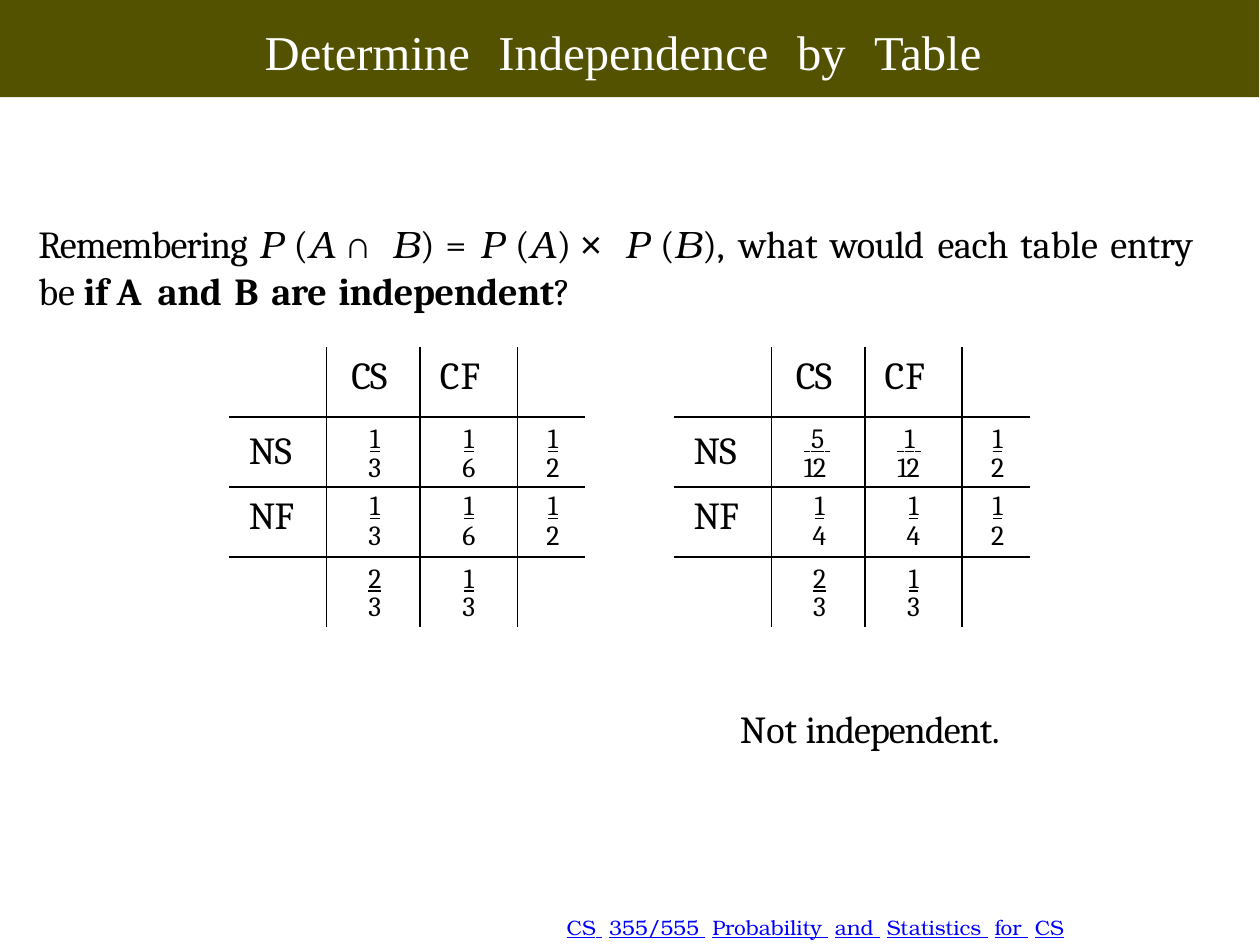
import pptx
import pptx.dml.color
import pptx.enum.shapes
import pptx.enum.text
import pptx.oxml
import pptx.oxml.ns
import pptx.util
from pptx.util import Cm, Pt

BODY, MATH, SYMBOL, TITLE = "Cambria", "TeX Gyre Bonum", "Courier New", "Times New Roman"
LEFT, CENTER = pptx.enum.text.PP_ALIGN.LEFT, pptx.enum.text.PP_ALIGN.CENTER


def add_run(paragraph, text, size, font=BODY, spacing=0, style="", color="000000"):
    """Style is any mix of b, i and u; spacing is in points."""
    run = paragraph.add_run()
    run.text = text
    run.font.name = font
    run.font.size = Pt(size)
    run.font.bold = "b" in style
    run.font.italic = "i" in style
    run.font.underline = "u" in style
    run.font.color.rgb = pptx.dml.color.RGBColor.from_string(color)
    run.font._element.set("spc", str(round(spacing * 100)))


def format_paragraph(paragraph, indent=0, before=0, line=None, alignment=LEFT):
    """Line is a factor, or a Pt length for exact spacing."""
    properties = paragraph._p.get_or_add_pPr()
    properties.set("marL", str(Cm(indent)))
    properties.set("indent", "0")
    paragraph.space_before = Pt(before)
    paragraph.line_spacing = line
    paragraph.alignment = alignment


presentation = pptx.Presentation()
presentation.slide_width = Pt(363)
presentation.slide_height = Pt(272.5)
slide = presentation.slides.add_slide(presentation.slide_layouts[5])

# Title band, behind the title
band = slide.shapes.add_shape(
    pptx.enum.shapes.MSO_SHAPE.RECTANGLE, 0, 0, Cm(12.8), Cm(0.99))
band.shadow.inherit = False
band.fill.solid()
band.fill.fore_color.rgb = pptx.dml.color.RGBColor.from_string("525200")
band.line.fill.background()
slide.shapes._spTree.insert(2, band._element)

# Title and text boxes
title = slide.shapes.title
title.left, title.top, title.width, title.height = Cm(0.89), Cm(0.17), Cm(11.05), Cm(0.69)
question = slide.shapes.add_textbox(Cm(0.36), Cm(2.2), Cm(11.94), Cm(1.02))
verdict = slide.shapes.add_textbox(Cm(7.49), Cm(7.14), Cm(3), Cm(0.53))
footer = slide.shapes.add_textbox(Cm(5.73), Cm(9.31), Cm(5.18), Cm(0.28))
for shape, top_margin in ((title, 0.05), (question, 0.03), (verdict, 0.03), (footer, 0)):
    frame = shape.text_frame
    frame.margin_left = frame.margin_right = frame.margin_bottom = 0
    frame.margin_top = Cm(top_margin)
    frame.word_wrap = True
    frame.auto_size = pptx.enum.text.MSO_AUTO_SIZE.SHAPE_TO_FIT_TEXT
    frame.vertical_anchor = pptx.enum.text.MSO_ANCHOR.TOP

paragraph = title.text_frame.paragraphs[0]
format_paragraph(paragraph, 1.8, 1.4)
for position, word in enumerate("Determine Independence by Table".split()):
    if position:
        add_run(paragraph, " ", 14, TITLE, 4.6, color="FFFFFF")
    add_run(paragraph, word, 14, TITLE, color="FFFFFF")

# Each part: text, font, letter spacing, style, spacing of the blank after it
paragraph = question.text_frame.paragraphs[0]
format_paragraph(paragraph, 0.03, 0.6, 1.03)
for text, font, spacing, style, gap in (
    ("Remembering", BODY, -0.3, "", 0.8),
    ("P", MATH, 0, "i", 0), ("(", BODY, 0, "", None), ("A", MATH, 0, "i", 0),
    ("∩", SYMBOL, -1.6, "", 0), ("B", MATH, 0, "i", None), (")", BODY, 0, "", 0.6),
    ("=", BODY, 0.8, "", 0.8),
    ("P", MATH, 0, "i", 0), ("(", BODY, 0, "", None), ("A", MATH, 0, "i", None),
    (")", BODY, 0, "", 0), ("×", SYMBOL, -0.3, "", 0),
    ("P", MATH, 0, "i", 0), ("(", BODY, 0, "", None), ("B", MATH, 0, "i", None),
    ("),", BODY, 0, "", 1.6), ("what", BODY, 0, "", 1.2), ("would", BODY, -0.2, "", 1.4),
    ("each", BODY, -0.1, "", 0.9), ("table", BODY, 0, "", 1.1),
    ("entry", BODY, -0.1, "", 1.1), ("be", BODY, 0, "", 0),
    ("if", BODY, 0, "b", 0), ("A", BODY, 1.1, "b", 1.1), ("and", BODY, -0.1, "b", 1.1),
    ("B", BODY, 0.6, "b", 0.6), ("are", BODY, -0.1, "b", 0.8),
    ("independent", BODY, -0.1, "b", None), ("?", BODY, -0.1, "", None),
):
    add_run(paragraph, text, 11, font, spacing, style)
    if gap is not None:
        add_run(paragraph, " ", 11, font, gap, style)

# Probability tables
headings = {"CS": (0.25, 2.2, 0.08, -0.2), "CF": (0.2, 2.2, 0.08, 0.3),
            "NS": (0.2, 3.5, 0.13, -0.2), "NF": (0.2, 2.5, 0.08, -0.2)}
fraction_rows = {1: (2.1, 0.08, 8.3), 2: (1.1, 0.05, 8.8), 3: (2.1, 0.08, 8.2)}
independent = (("", "CS", "CF", ""), ("NS", "1/3", "1/6", "1/2"),
               ("NF", "1/3", "1/6", "1/2"), ("", "2/3", "1/3", ""))
dependent = (("", "CS", "CF", ""), ("NS", "5/12", "1/12", "1/2"),
             ("NF", "1/4", "1/4", "1/2"), ("", "2/3", "1/3", ""))

for left, entries in ((2.33, independent), (6.85, dependent)):
    table = slide.shapes.add_table(4, 4, Cm(left), Cm(3.53), Cm(3.62), Cm(2.84)).table
    table.first_row = table.horz_banding = False
    style_id = table._tbl.tblPr.find(pptx.oxml.ns.qn("a:tableStyleId"))
    style_id.text = "{2D5ABB26-0587-4C30-8999-92F81FD0307C}"
    for column, width in zip(table.columns, (0.99, 0.95, 0.99, 0.69)):
        column.width = Cm(width)
    for row in table.rows:
        row.height = Cm(0.71)

    for row, texts in enumerate(entries):
        for column, text in enumerate(texts):
            cell = table.cell(row, column)
            cell.margin_left = cell.margin_right = cell.margin_top = cell.margin_bottom = 0
            paragraph = cell.text_frame.paragraphs[0]
            if text in headings:
                indent, before, margin, spacing = headings[text]
                cell.margin_top = Cm(margin)
                format_paragraph(paragraph, indent, before)
                add_run(paragraph, text, 11, spacing=spacing)
            elif text:
                before, margin, line = fraction_rows[row]
                cell.margin_top = Cm(margin)
                numerator, denominator = text.split("/")
                below = cell.text_frame.add_paragraph()
                wide = denominator == "12"
                indent = 0.33 if wide else 0 if column == 2 else 0.03
                alignment = LEFT if wide else CENTER
                format_paragraph(paragraph, indent, before, Pt(8.8), alignment)
                format_paragraph(below, indent, 0, Pt(line), alignment)
                if wide:
                    add_run(paragraph, " ", 8, TITLE, 0.1, "u")
                    add_run(paragraph, numerator, 8, spacing=-0.5, style="u")
                    add_run(paragraph, " ", 8, spacing=5, style="u")
                else:
                    add_run(paragraph, numerator, 8, style="u")
                add_run(below, denominator, 8, spacing=-0.2 if wide else 0)
            else:
                end = pptx.oxml.parse_xml(
                    f'<a:endParaRPr {pptx.oxml.ns.nsdecls("a")} sz="800"/>')
                paragraph._p.append(end)

            # Only the inner grid lines are ruled
            cell_properties = cell._tc.get_or_add_tcPr()
            for side, ruled in (("L", column > 0), ("R", column < 3),
                                ("T", row > 0), ("B", row < 3)):
                if ruled:
                    cell_properties.append(pptx.oxml.parse_xml(
                        f'<a:ln{side} {pptx.oxml.ns.nsdecls("a")} w="{Pt(0.5)}"><a:solidFill>'
                        f'<a:srgbClr val="000000"/></a:solidFill></a:ln{side}>'))
            cell.fill.background()

paragraph = verdict.text_frame.paragraphs[0]
format_paragraph(paragraph, 0.03, 0.9)
add_run(paragraph, "Not ", 11)
add_run(paragraph, "independent.", 11, spacing=-0.3)

paragraph = footer.text_frame.paragraphs[0]
format_paragraph(paragraph, 0.03, 0, Pt(6.7))
for position, word in enumerate("CS 355/555 Probability and Statistics for CS".split()):
    if position:
        add_run(paragraph, " ", 6, MATH, 1.9, "u", "0000FF")
    add_run(paragraph, word, 6, MATH, 0, "u", "0000FF")

presentation.save("out.pptx")
